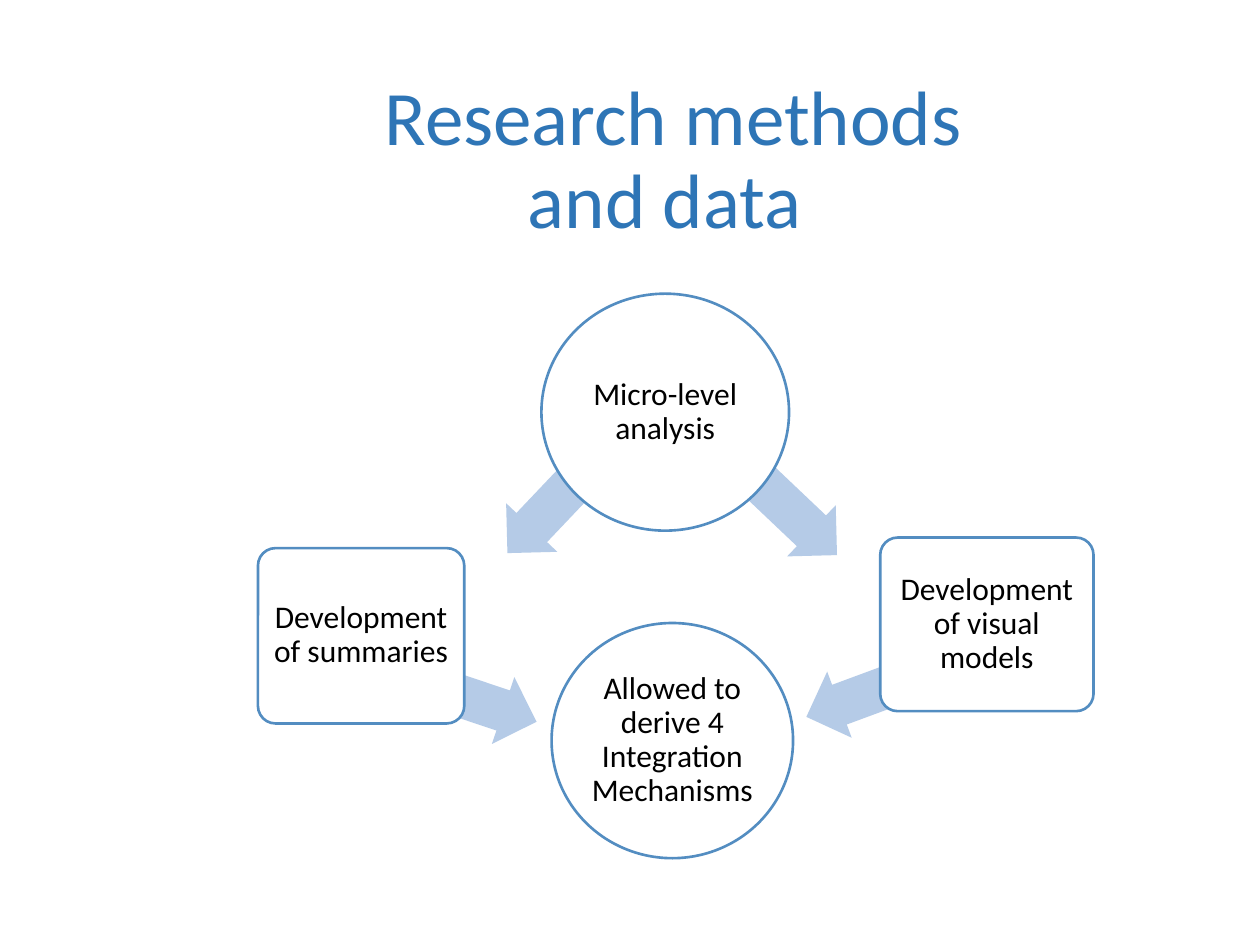
"""Build the research methods and data slide."""
from dataclasses import dataclass

from pptx import Presentation
from pptx.dml.color import RGBColor
from pptx.enum.shapes import MSO_SHAPE
from pptx.enum.text import MSO_ANCHOR, PP_ALIGN
from pptx.util import Pt

CIRCLE = MSO_SHAPE.OVAL
CARD = MSO_SHAPE.ROUNDED_RECTANGLE
ARROW = MSO_SHAPE.RIGHT_ARROW
MIDDLE = MSO_ANCHOR.MIDDLE
CENTER = PP_ALIGN.CENTER
TITLE_ONLY = 5


@dataclass(frozen=True)
class Theme:
    """Colours, font and type sizes of the slide."""
    font: str = "Calibri"
    title_size: int = 44
    body_size: int = 18
    title: RGBColor = RGBColor(0x2E, 0x75, 0xB6)
    text: RGBColor = RGBColor(0, 0, 0)
    fill: RGBColor = RGBColor(0xFF, 0xFF, 0xFF)
    outline: RGBColor = RGBColor(0x53, 0x8D, 0xC1)
    arrow: RGBColor = RGBColor(0xB5, 0xCB, 0xE7)


THEME = Theme()
ARROW_HEIGHT = 40.3
ARROWS = [
    (249.8, 383, 58.3, 18.6),
    (279.4, 271.4, 67.7, 133.5),
    (421.2, 274.3, 66.2, 43.5),
    (457.2, 369.4, 115.9, 159.7),
]
STEPS = [
    (CIRCLE, "Micro-level analysis", (309.4, 167.8, 141.5, 135.4), 3),
    (CARD, "Development of summaries", (147.4, 313.2, 117.9, 100.2), 2.5),
    (CARD, "Development of visual models", (503, 307.2, 121.9, 99.2), 2.5),
    (CIRCLE, "Allowed to derive 4 Integration Mechanisms", (315.2, 356, 138, 134.4), 0.5),
]


def write_text(shape, text, size, color):
    """Put one centred paragraph in a shape and format it."""
    frame = shape.text_frame
    frame.text = text
    frame.word_wrap = True
    frame.vertical_anchor = MIDDLE
    para = frame.paragraphs[0]
    para.alignment = CENTER
    para.line_spacing = 0.9
    font = para.runs[0].font
    font.name = THEME.font
    font.size = Pt(size)
    font.color.rgb = color


def set_title(slide, text, bounds):
    """Move and format the title placeholder."""
    title = slide.shapes.title
    title.left, title.top, title.width, title.height = map(Pt, bounds)
    write_text(title, text, THEME.title_size, THEME.title)


def add_filled(slide, kind, bounds, color):
    """Add a flat preset shape with a solid fill."""
    shape = slide.shapes.add_shape(kind, *map(Pt, bounds))
    shape.shadow.inherit = False
    shape.fill.solid()
    shape.fill.fore_color.rgb = color
    return shape


def add_arrow(slide, left, top, width, angle):
    """Add a block arrow that points along the given angle."""
    arrow = add_filled(slide, ARROW, (left, top, width, ARROW_HEIGHT), THEME.arrow)
    arrow.adjustments[0] = 0.6
    arrow.adjustments[1] = 0.5
    arrow.rotation = angle
    arrow.line.fill.background()


def add_step(slide, kind, text, bounds, inset):
    """Add an outlined step with its label."""
    step = add_filled(slide, kind, bounds, THEME.fill)
    step.line.color.rgb = THEME.outline
    step.line.width = Pt(1.5)
    if kind == CARD:
        step.adjustments[0] = 0.1
    frame = step.text_frame
    frame.margin_left = frame.margin_right = Pt(inset)
    frame.margin_top = frame.margin_bottom = Pt(inset)
    write_text(step, text, THEME.body_size, THEME.text)


def main():
    """Build and save the deck."""
    deck = Presentation()
    deck.slide_width, deck.slide_height = Pt(720), Pt(540)
    slide = deck.slides.add_slide(deck.slide_layouts[TITLE_ONLY])
    set_title(slide, "Research methods and data ", (184.3, 53.3, 401, 78.5))
    for arrow in ARROWS:
        add_arrow(slide, *arrow)
    for step in STEPS:
        add_step(slide, *step)
    deck.save("out.pptx")


if __name__ == "__main__":
    main()
